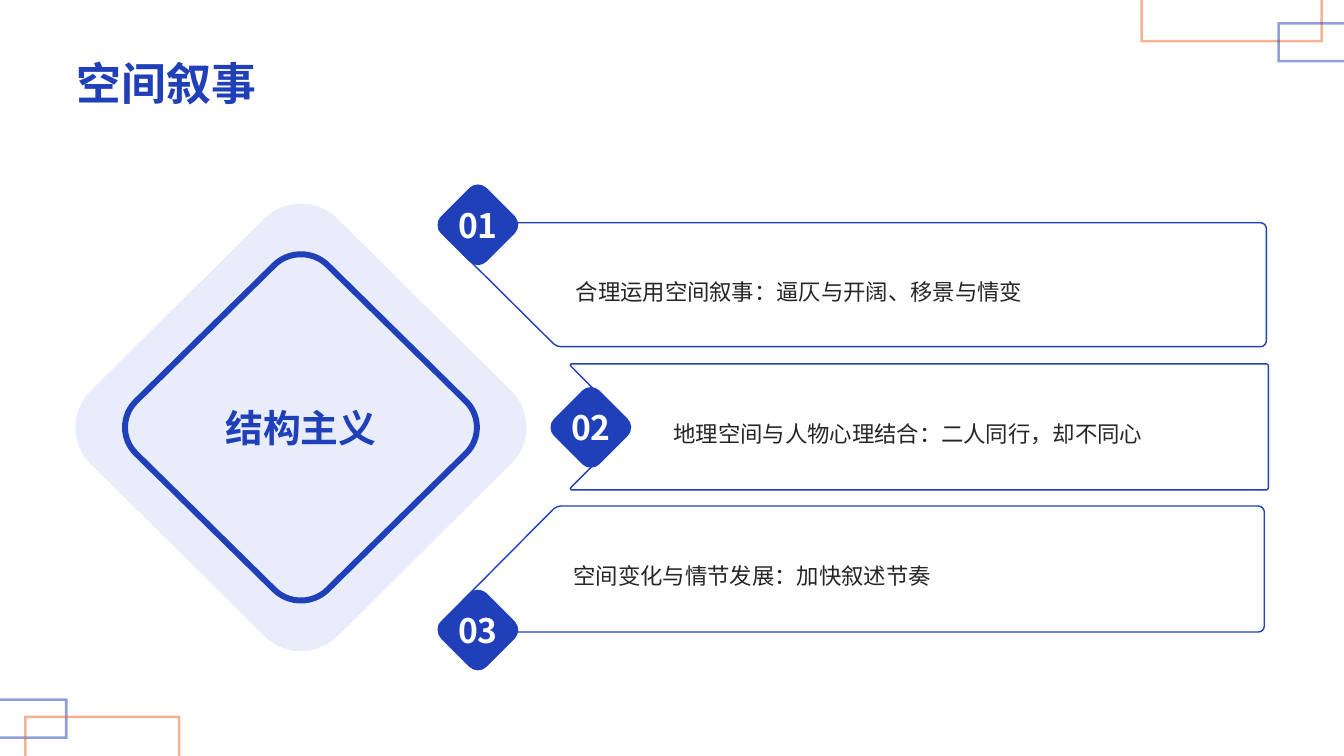
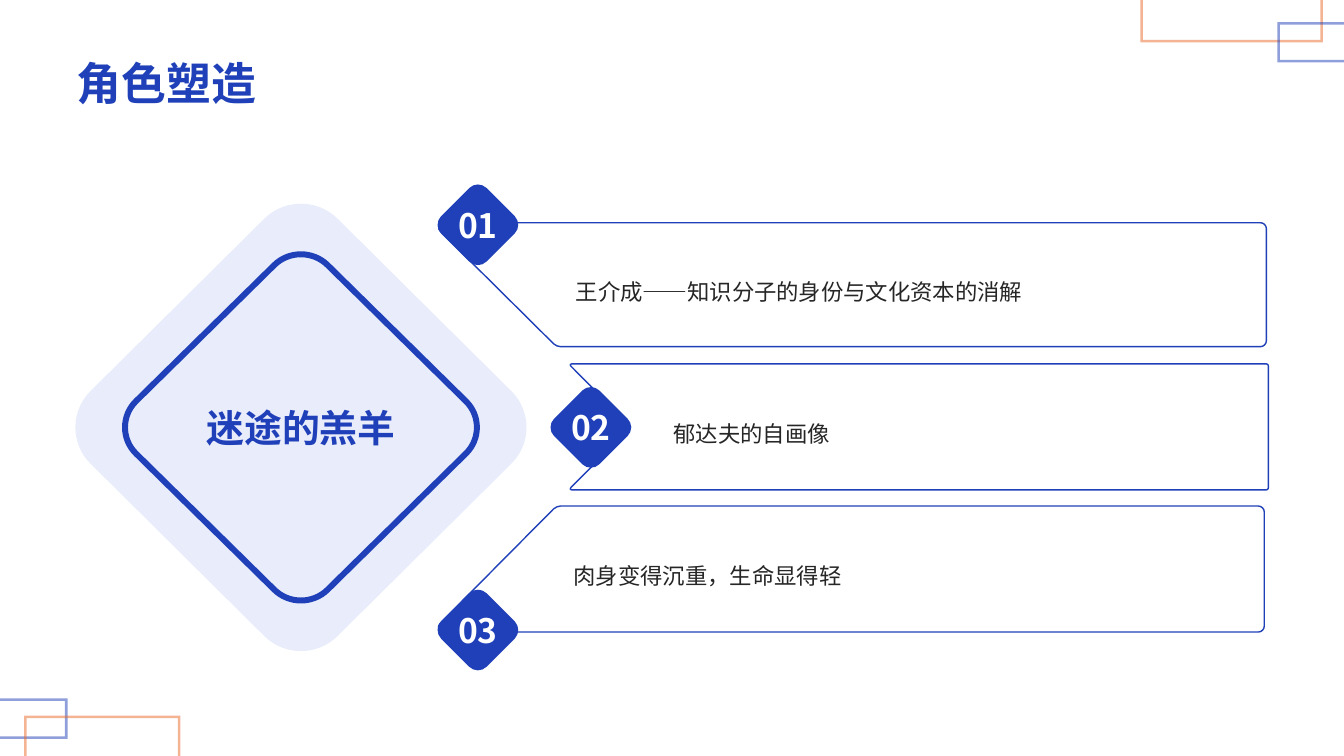
from math import copysign, dist

from lxml.etree import SubElement
from pptx import Presentation
from pptx.dml.color import RGBColor
from pptx.enum.text import MSO_ANCHOR as Anchor, PP_ALIGN as Align
from pptx.oxml.ns import qn
from pptx.util import Inches, Pt

FONT = "Noto Sans CJK SC"
BLUE, ORANGE, PALE = "1F40B8", "EB6A28", "B3C1F2"
INK, WHITE = "262626", "FFFFFF"

CENTER_X, AXIS_Y = 2.985, 4.24
CURVE = 0.55       # pull of a rounded corner's handles towards its tip
BAND = 0.025       # thickness of the corner frames

# Outer edges of the frames, open where they leave the slide
FRAMES = [
    (BLUE, [(0, 7.33), (0.67, 7.33), (0.67, 6.93), (0, 6.93)]),
    (ORANGE, [(1.79, 7.5), (1.79, 7.1), (0.24, 7.1), (0.24, 7.5)]),
    (ORANGE, [(11.31, 0), (11.31, 0.42), (13.12, 0.42), (13.12, 0)]),
    (BLUE, [(13.33, 0.62), (12.67, 0.62), (12.67, 0.22), (13.33, 0.22)]),
]

# Each panel: corners as (x, y, cut), then the left edge of its text
PANELS = [
    ([(4.28, 2.21, 0.14), (12.56, 2.21, 0.06), (12.56, 3.44, 0.06),
      (5.52, 3.44, 0.04)], 5.71),
    ([(5.64, 3.61, 0.03), (12.58, 3.61, 0.02), (12.58, 4.86, 0.02),
      (5.64, 4.86, 0.03), (6.26, 4.235, 0.01)], 6.68),
    ([(4.28, 6.27, 0.14), (12.54, 6.27, 0.06), (12.54, 5.02, 0.06),
      (5.52, 5.02, 0.04)], 5.69),
]
BADGE_CENTERS = [(4.74, 2.23), (5.86, 4.24), (4.74, 6.25)]

SLIDES = [
    ("空间叙事", "结构主义", [
        "合理运用空间叙事：逼仄与开阔、移景与情变",
        "地理空间与人物心理结合：二人同行，却不同心",
        "空间变化与情节发展：加快叙述节奏",
    ]),
    ("角色塑造", "迷途的羔羊", [
        "王介成——知识分子的身份与文化资本的消解",
        "郁达夫的自画像",
        "肉身变得沉重，生命显得轻",
    ]),
]


def rgb(color):
    return RGBColor.from_string(color)


def between(start, end, share):
    return tuple(a + (b - a) * share for a, b in zip(start, end))


def add_outline(slide, points):
    start, *others = [(Inches(x), Inches(y)) for x, y in points]
    builder = slide.shapes.build_freeform(*start)
    builder.add_line_segments(others, close=True)
    return builder.convert_to_shape()


def add_rounded(slide, corners):
    """A closed outline whose corners (x, y, cut) are single Bézier curves."""
    curves = []
    for i, (*tip, cut) in enumerate(corners):
        before, after = corners[i - 1][:2], corners[(i + 1) % len(corners)][:2]
        start = between(tip, before, cut / dist(tip, before))
        end = between(tip, after, cut / dist(tip, after))
        curves.append((start, between(start, tip, CURVE), between(end, tip, CURVE), end))

    # The crest of every curve is a point at first, so that the bounds include it.
    points = []
    for start, first, second, end in curves:
        crest = between(between(start, end, 0.5), between(first, second, 0.5), 0.75)
        points += [start, crest, end]
    outline = add_outline(slide, points)

    lines = list(outline.element.iter(qn("a:lnTo")))
    for (_, *targets), crest, end in zip(curves, lines[0::3], lines[1::3]):
        bezier = crest.makeelement(qn("a:cubicBezTo"))
        for x, y in targets:
            SubElement(bezier, qn("a:pt"), x=str(Inches(x) - outline.left),
                       y=str(Inches(y) - outline.top))
        crest.addprevious(bezier)
        for line in (crest, end):
            line.getparent().remove(line)
    return outline


def paint(shape, fill=None, line=None, width=1, opacity=100):
    shape.shadow.inherit = False
    if fill:
        shape.fill.solid()
        shape.fill.fore_color.rgb = rgb(fill)
    else:
        shape.fill.background()
    if line:
        shape.line.color.rgb = rgb(line)
        shape.line.width = Pt(width)
    else:
        shape.line.fill.background()
    if opacity < 100:
        for color in shape.element.iter(qn("a:srgbClr")):
            SubElement(color, qn("a:alpha"), val=str(opacity * 1000))


def add_diamond(slide, center, half_width, half_height, cut, **style):
    x, y = center
    diamond = add_rounded(slide, [
        (x - half_width, y, cut), (x, y - half_height, cut),
        (x + half_width, y, cut), (x, y + half_height, cut)])
    paint(diamond, **style)
    return diamond


def write(shape, text, size, color, bold=False, align=Align.LEFT,
          left=0, right=0, spacing=1, wrap=True):
    frame = shape.text_frame
    frame.margin_left, frame.margin_right = left, right
    frame.margin_top = frame.margin_bottom = 0
    frame.vertical_anchor = Anchor.MIDDLE
    frame.word_wrap = wrap
    paragraph = frame.paragraphs[0]
    paragraph.text = text
    paragraph.alignment = align
    paragraph.line_spacing = spacing
    font = paragraph.font
    font.name, font.size, font.bold = FONT, Pt(size), bold
    font.color.rgb = rgb(color)
    for latin in shape.element.findall(".//" + qn("a:latin")):
        latin.addnext(latin.makeelement(qn("a:ea"), typeface=FONT))


def add_title(slide, text):
    title = slide.shapes.add_textbox(Inches(0.76), Inches(0.43),
                                     Inches(11.81), Inches(0.77))
    write(title, text, 32, BLUE, bold=True)


def shift(point, *directions):
    """Move a point one band thickness along each axis-parallel direction."""
    x, y = point
    for dx, dy in directions:
        x += copysign(BAND, dx) if dx else 0
        y += copysign(BAND, dy) if dy else 0
    return x, y


def add_frame(slide, color, outer):
    a, b, c, d = outer
    opening = a[0] - b[0], a[1] - b[1]
    across = c[0] - b[0], c[1] - b[1]
    back = -across[0], -across[1]
    inner = [shift(d, back), shift(c, back, opening),
             shift(b, across, opening), shift(a, across)]
    paint(add_outline(slide, outer + inner), fill=color, opacity=50)


def add_theme(slide, text):
    """The large double diamond with the slide's key phrase."""
    center = CENTER_X, AXIS_Y
    add_diamond(slide, center, 2.45, 2.43, 0.51, fill=PALE, opacity=30)
    ring = add_diamond(slide, center, 1.9, 1.87, 0.37, line=BLUE, width=4.25)
    write(ring, text, 27, BLUE, bold=True, align=Align.CENTER,
          left=Inches(0.39), right=Inches(0.39))


def add_panel(slide, corners, text_left, text):
    panel = add_rounded(slide, corners)
    paint(panel, line=BLUE)
    write(panel, text, 16, INK, left=Inches(text_left) - panel.left, spacing=1.5)


def add_badge(slide, center, number):
    badge = add_diamond(slide, center, 0.45, 0.45, 0.12, fill=BLUE)
    write(badge, f"{number:02}", 24, WHITE, bold=True, align=Align.CENTER, wrap=False)


def add_content_slide(deck, title, theme, points):
    slide = deck.slides.add_slide(deck.slide_layouts[6])
    for color, outer in FRAMES:
        add_frame(slide, color, outer)
    add_title(slide, title)
    add_theme(slide, theme)
    for (corners, text_left), text in zip(PANELS, points):
        add_panel(slide, corners, text_left, text)
    for number, center in enumerate(BADGE_CENTERS, 1):
        add_badge(slide, center, number)


def main():
    deck = Presentation()
    deck.slide_width, deck.slide_height = Inches(13.33), Inches(7.5)
    for content in SLIDES:
        add_content_slide(deck, *content)
    deck.save("out.pptx")


if __name__ == "__main__":
    main()
